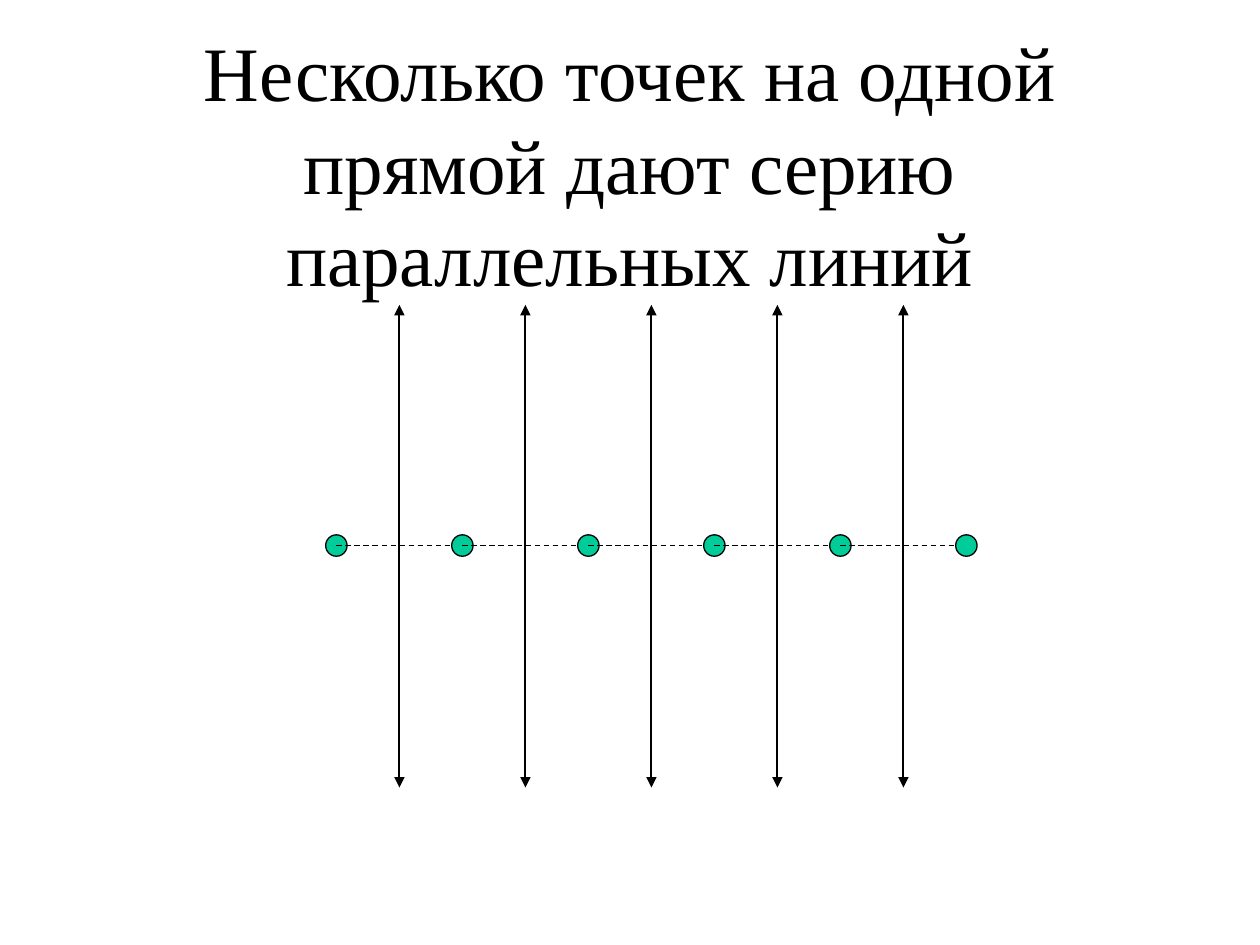
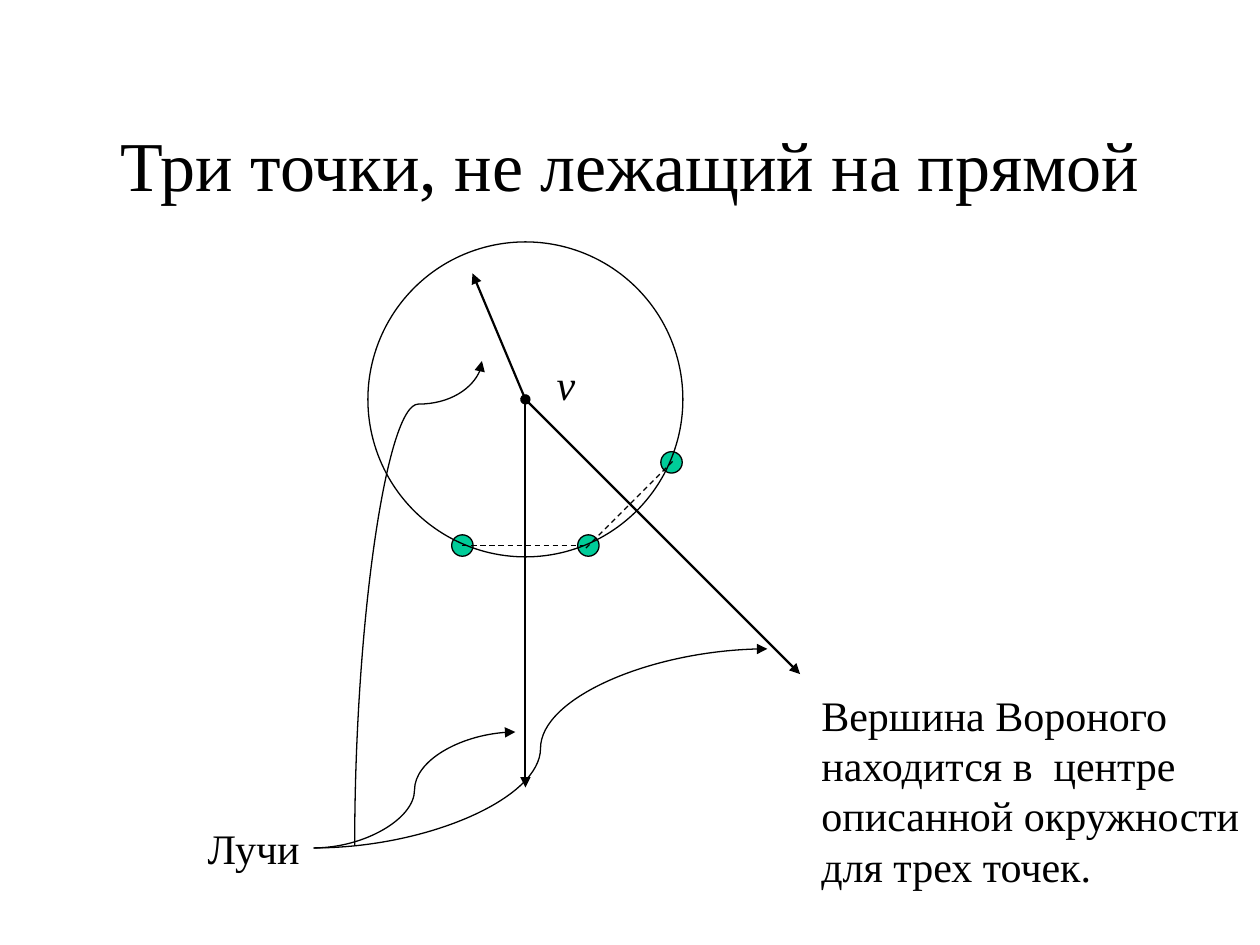
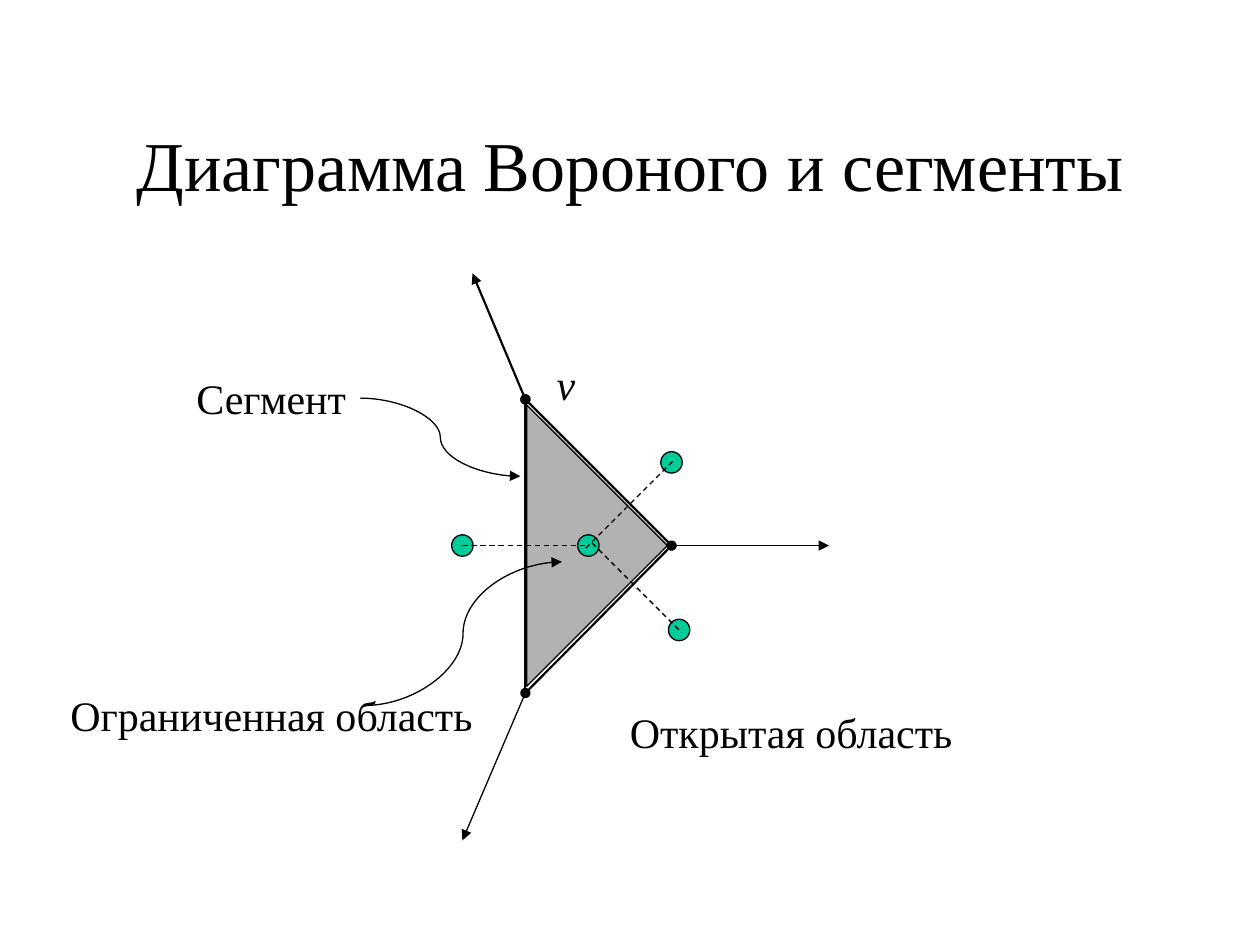
from pptx import Presentation
from pptx.dml.color import RGBColor
from pptx.enum.dml import MSO_LINE
from pptx.enum.shapes import MSO_CONNECTOR, MSO_SHAPE
from pptx.enum.text import MSO_ANCHOR, MSO_AUTO_SIZE, PP_ALIGN
from pptx.oxml.ns import qn
from pptx.util import Inches, Pt
from lxml.etree import SubElement

BLACK = RGBColor(0x00, 0x00, 0x00)
GREEN = RGBColor(0x00, 0xCC, 0x99)
GRAY = RGBColor(0xB2, 0xB2, 0xB2)
FONT = "Times New Roman"
DOT = 0.17
THIN, THICK = 0.75, 1.25


def add_ellipse(s, cx, cy, size=DOT, fill=GREEN):
    """Circle around a centre; without a fill it is only an outline."""
    sp = s.shapes.add_shape(MSO_SHAPE.OVAL, Inches(cx - size / 2), Inches(cy - size / 2),
                            Inches(size), Inches(size))
    sp.shadow.inherit = False
    if fill is None:
        sp.fill.background()
    else:
        sp.fill.solid()
        sp.fill.fore_color.rgb = fill
    sp.line.color.rgb = BLACK
    sp.line.width = Pt(THIN)


def add_line(s, start, end, width=THIN, dash=False, head=None, tail=None,
             kind=MSO_CONNECTOR.STRAIGHT):
    c = s.shapes.add_connector(kind, *[Inches(v) for v in (*start, *end)])
    c.line.color.rgb = BLACK
    c.line.width = Pt(width)
    if dash:
        c.line.dash_style = MSO_LINE.DASH
    spPr = c.element.spPr
    for tag, arrow in (("a:headEnd", head), ("a:tailEnd", tail)):
        if arrow:
            SubElement(spPr.find(qn("a:ln")), qn(tag), type=arrow)
    SubElement(spPr, qn("a:effectLst"))
    return c


prs = Presentation()
prs.slide_width, prs.slide_height = Inches(10), Inches(7.5)

# Slides with their titles
slides = []
for title, size in (
    ("Несколько точек на одной прямой дают серию параллельных линий", 44),
    ("Три точки, не лежащий на прямой", 40),
    ("Диаграмма Вороного и сегменты", 40),
):
    s = prs.slides.add_slide(prs.slide_layouts[6])
    tf = s.shapes.add_textbox(Inches(0.75), Inches(0.67), Inches(8.5), Inches(1.25)).text_frame
    tf.word_wrap = True
    tf.vertical_anchor = MSO_ANCHOR.MIDDLE
    tf.text = title
    p = tf.paragraphs[0]
    p.alignment = PP_ALIGN.CENTER
    p.font.name, p.font.size, p.font.color.rgb = FONT, Pt(size), BLACK
    for r in p.runs:
        r.font.name, r.font.size, r.font.color.rgb = FONT, Pt(size), BLACK
    slides.append(s)
collinear, three_points, segments = slides

# Points on one line and the parallel bisectors between them
for i in range(6):
    x = 2.67 + i
    add_ellipse(collinear, x, 4.33)
    if i < 5:
        add_line(collinear, (x, 4.33), (x + 1, 4.33), dash=True)
        add_line(collinear, (x + 0.5, 2.42), (x + 0.5, 6.25), THICK,
                 head="triangle", tail="triangle")

# Points, dashed links and the upper ray that both Voronoi slides share
vertex, right_vertex, low_vertex = (4.17, 3.17), (5.33, 4.33), (4.17, 5.5)
triangle = segments.shapes.add_shape(MSO_SHAPE.RIGHT_TRIANGLE, Inches(3.39), Inches(3.54),
                                     Inches(1.58), Inches(1.58))
triangle.rotation = 225
triangle.shadow.inherit = False
triangle.fill.solid()
triangle.fill.fore_color.rgb = GRAY
triangle.line.color.rgb = BLACK
triangle.line.width = Pt(THIN)

for s in (three_points, segments):
    for x, y in ((3.67, 4.33), (4.67, 4.33), (5.33, 3.67)):
        add_ellipse(s, x, y)
    add_line(s, (3.67, 4.33), (4.67, 4.33), dash=True)
    add_line(s, (4.65, 4.35), (5.35, 3.65), dash=True)
    add_line(s, vertex, (3.75, 2.17), THICK, head="oval", tail="triangle")

# Circumscribed circle and its rays
add_ellipse(three_points, *vertex, size=2.5, fill=None)
for end in ((4.17, 6.25), (6.35, 5.35)):
    add_line(three_points, vertex, end, THICK, tail="triangle")

# Bounded region and the rays of the open ones
add_ellipse(segments, 5.39, 5)
add_line(segments, (4.7, 4.31), (5.41, 5.02), dash=True)
add_line(segments, vertex, low_vertex, THICK)
add_line(segments, vertex, right_vertex, THICK, head="oval")
add_line(segments, right_vertex, low_vertex, THICK, head="oval", tail="oval")
add_line(segments, low_vertex, (3.67, 6.67), tail="triangle")
add_line(segments, right_vertex, (6.58, 4.33), tail="triangle")

# Curved pointers from the labels
for s, start, end in (
    (three_points, (2.49, 6.73), (4.09, 5.81)),
    (three_points, (2.49, 6.73), (6.09, 5.15)),
    (segments, (2.89, 5.6), (4.46, 4.46)),
    (segments, (2.86, 3.16), (4.13, 3.78)),
):
    add_line(s, start, end, tail="triangle", kind=MSO_CONNECTOR.CURVE)

# The pointer to the upper ray leaves upwards, so it is turned by 270 degrees
upper = add_line(three_points, (1.4, 4.28), (5.24, 5.29), tail="triangle",
                 kind=MSO_CONNECTOR.CURVE)
upper.element.spPr.find(qn("a:xfrm")).set("rot", str(270 * 60000))
bend = upper.element.spPr.find(qn("a:prstGeom")).find(qn("a:avLst"))
SubElement(bend, qn("a:gd"), name="adj1", fmla="val 91100")

# Labels
for s, x, y, w, h, text, italic in (
    (three_points, 6.42, 5.42, 3.55, 1.72,
     "Вершина Вороного\nнаходится в  центре \vописанной окружности\nдля трех точек.", False),
    (three_points, 4.32, 2.8, 0.35, 0.5, "v", True),
    (three_points, 1.55, 6.48, 0.94, 0.51, "Лучи", False),
    (segments, 4.32, 2.8, 0.35, 0.5, "v", True),
    (segments, 4.9, 5.56, 2.79, 0.51, "Открытая область", False),
    (segments, 0.46, 5.42, 3.43, 0.51, "Ограниченная область", False),
    (segments, 1.46, 2.91, 1.4, 0.51, "Сегмент", False),
):
    tf = s.shapes.add_textbox(Inches(x), Inches(y), Inches(w), Inches(h)).text_frame
    tf.word_wrap = False
    tf.auto_size = MSO_AUTO_SIZE.SHAPE_TO_FIT_TEXT
    tf.text = text
    for p in tf.paragraphs:
        for r in p.runs:
            r.font.name, r.font.size, r.font.color.rgb = FONT, Pt(24), BLACK
            r.font.italic = italic

prs.save("out.pptx")
